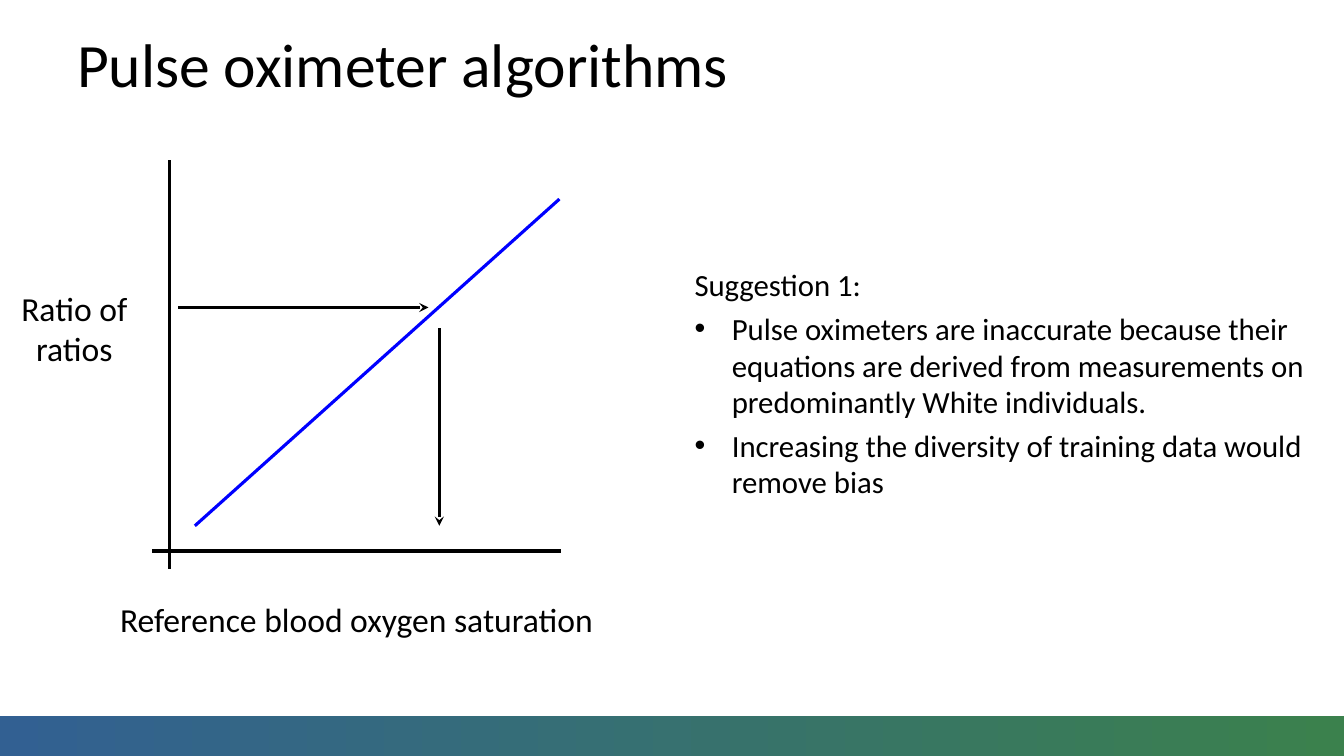
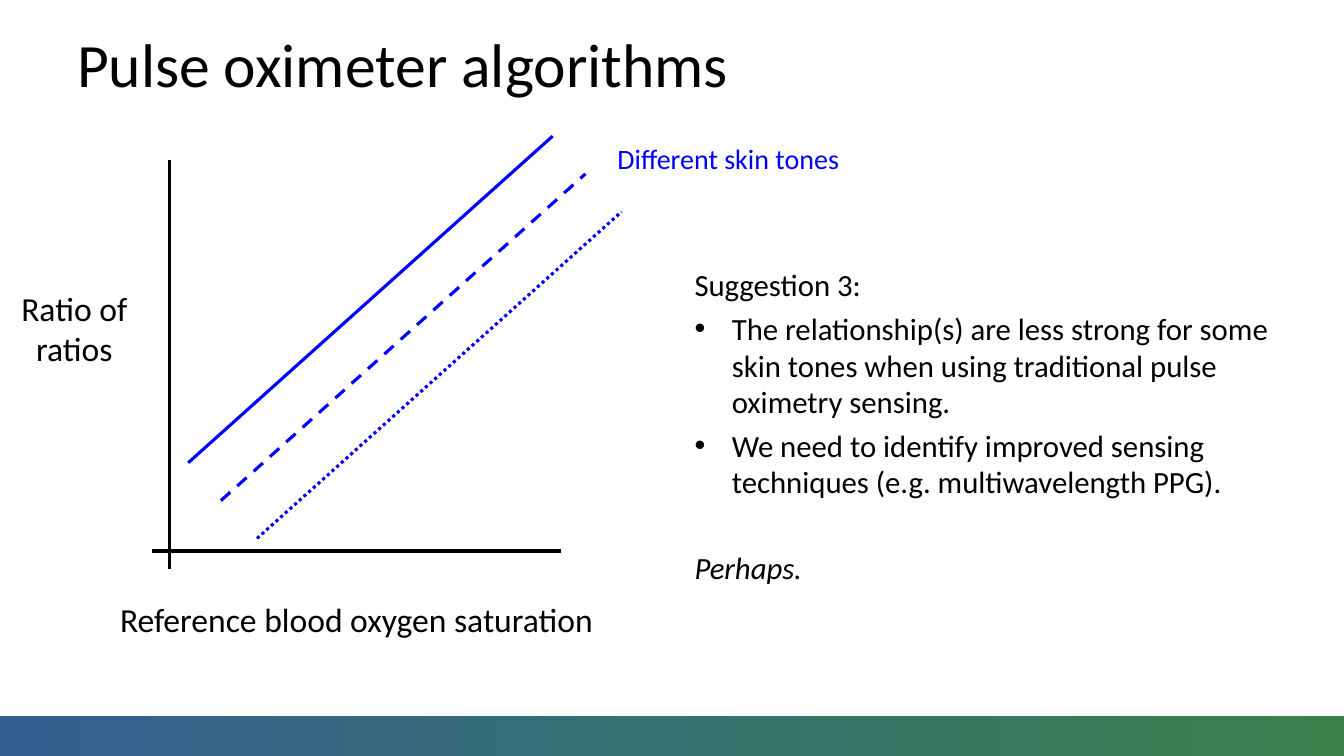
from dataclasses import dataclass

from lxml.etree import SubElement
from pptx import Presentation
from pptx.dml.color import RGBColor
from pptx.enum.dml import MSO_LINE
from pptx.enum.shapes import MSO_CONNECTOR, MSO_SHAPE
from pptx.enum.text import MSO_ANCHOR, PP_ALIGN
from pptx.oxml.ns import qn
from pptx.util import Inches, Pt

COLUMNS, ROWS = 160, 90
CELL = Inches(1) / 12


@dataclass(frozen=True)
class Theme:
    font: str = "Calibri"
    ink: RGBColor = RGBColor(0x00, 0x00, 0x00)
    accent: RGBColor = RGBColor(0x00, 0x00, 0xFF)
    band_start: RGBColor = RGBColor(0x32, 0x60, 0x92)
    band_end: RGBColor = RGBColor(0x3B, 0x81, 0x4D)
    title_size: float = 44
    label_size: float = 24
    body_size: float = 22
    note_size: float = 20
    line_width: float = 2.25
    body_gap: float = 4.4
    remark_gap: float = 35


def cells(*counts):
    """Turn grid columns or rows into slide lengths."""
    return [round(count * CELL) for count in counts]


class SlideBuilder:
    def __init__(self, deck, theme):
        self.deck = deck
        self.theme = theme
        self.page = None

    def start_page(self, title):
        self.page = self.deck.slides.add_slide(self.deck.slide_layouts[6])
        self.band()
        frame = self.text_frame(8, 0, 144, 15)
        frame.vertical_anchor = MSO_ANCHOR.MIDDLE
        self.span(frame.paragraphs[0], title, self.theme.title_size)

    def band(self):
        top = 85.2
        band = self.page.shapes.add_shape(
            MSO_SHAPE.RECTANGLE, *cells(0, top, COLUMNS, ROWS - top))
        band.shadow.inherit = False
        band.line.fill.background()
        band.fill.gradient()
        band.fill.gradient_angle = 0
        colours = (self.theme.band_start, self.theme.band_end)
        for position, (stop, colour) in enumerate(zip(band.fill.gradient_stops, colours)):
            stop.position = position
            stop.color.rgb = colour

    def text_frame(self, left, top, width, height, wrap=True):
        box = self.page.shapes.add_textbox(*cells(left, top, width, height))
        box.text_frame.word_wrap = wrap
        return box.text_frame

    def span(self, para, text, size, colour=None, italic=False):
        span = para.add_run()
        span.text = text
        span.font.name = self.theme.font
        span.font.size = Pt(size)
        span.font.color.rgb = colour or self.theme.ink
        if italic:
            span.font.italic = True

    def label(self, place, *lines, size=None, colour=None):
        frame = self.text_frame(*place, wrap=False)
        for index, line in enumerate(lines):
            para = frame.add_paragraph() if index else frame.paragraphs[0]
            para.alignment = PP_ALIGN.CENTER
            self.span(para, line, size or self.theme.label_size, colour)

    def line(self, start, end, colour=None, dash=None, arrow=False):
        line = self.page.shapes.add_connector(
            MSO_CONNECTOR.STRAIGHT, *cells(*start, *end))
        line.line.color.rgb = colour or self.theme.ink
        line.line.width = Pt(self.theme.line_width)
        if dash:
            line.line.dash_style = dash
        properties = line._element.spPr
        if arrow:
            SubElement(properties.find(qn("a:ln")), qn("a:tailEnd"), type="stealth")
        SubElement(properties, qn("a:effectLst"))

    def axes(self):
        self.line((18.1, 65.6), (66.8, 65.6))
        self.line((20.2, 67.7), (20.2, 19))
        self.label((12.8, 70.7, 59.3, 6), "Reference blood oxygen saturation")
        self.label((1.3, 33.7, 15.1, 10.9), "Ratio of", "ratios")

    def calibration(self, left, bottom, dash=None):
        """Draw a calibration line rising from its lower left end."""
        self.line((left, bottom), (left + 43.4, bottom - 38.9), self.theme.accent, dash)

    def suggestion(self, heading, points, remark=None):
        theme = self.theme
        frame = self.text_frame(81.5, 31.1, 75, 42.5 if remark else 34.6)
        self.span(frame.paragraphs[0], heading, theme.body_size)
        for point in points:
            para = frame.add_paragraph()
            self.bullet(para)
            para.space_before = Pt(theme.body_gap)
            self.span(para, point, theme.body_size)
        if remark:
            para = frame.add_paragraph()
            para.space_before = Pt(theme.remark_gap)
            self.span(para, remark, theme.body_size, italic=True)

    def bullet(self, para):
        properties = para._p.get_or_add_pPr()
        indent = Inches(0.37)
        properties.set("marL", str(indent))
        properties.set("indent", str(-indent))
        SubElement(properties, qn("a:buFont"), typeface="Arial")
        SubElement(properties, qn("a:buChar"), char="•")


def training_data_page(builder):
    builder.start_page("Pulse oximeter algorithms")
    builder.axes()
    builder.calibration(23.2, 62.6)
    builder.line((21.2, 36.6), (51, 36.6), arrow=True)
    builder.line((52.3, 39.1), (52.3, 62.6), arrow=True)
    builder.suggestion("Suggestion 1:", (
        "Pulse oximeters are inaccurate because their equations are derived "
        "from measurements on predominantly White individuals.",
        "Increasing the diversity of training data would remove bias",
    ))


def sensing_page(builder):
    builder.start_page("Pulse oximeter algorithms")
    builder.axes()
    builder.calibration(22.4, 55.1)
    builder.calibration(26.3, 59.6, MSO_LINE.DASH)
    builder.calibration(30.6, 64.1, MSO_LINE.ROUND_DOT)
    builder.label((72.1, 16.3, 29.2, 5.3), "Different skin tones",
                  size=builder.theme.note_size, colour=builder.theme.accent)
    builder.suggestion("Suggestion 3:", (
        "The relationship(s) are less strong for some skin tones when using "
        "traditional pulse oximetry sensing.",
        "We need to identify improved sensing techniques (e.g. multiwavelength PPG).",
    ), remark="Perhaps.")


def main():
    deck = Presentation()
    deck.slide_width, deck.slide_height = cells(COLUMNS, ROWS)
    builder = SlideBuilder(deck, Theme())
    training_data_page(builder)
    sensing_page(builder)
    deck.save("out.pptx")


if __name__ == "__main__":
    main()
